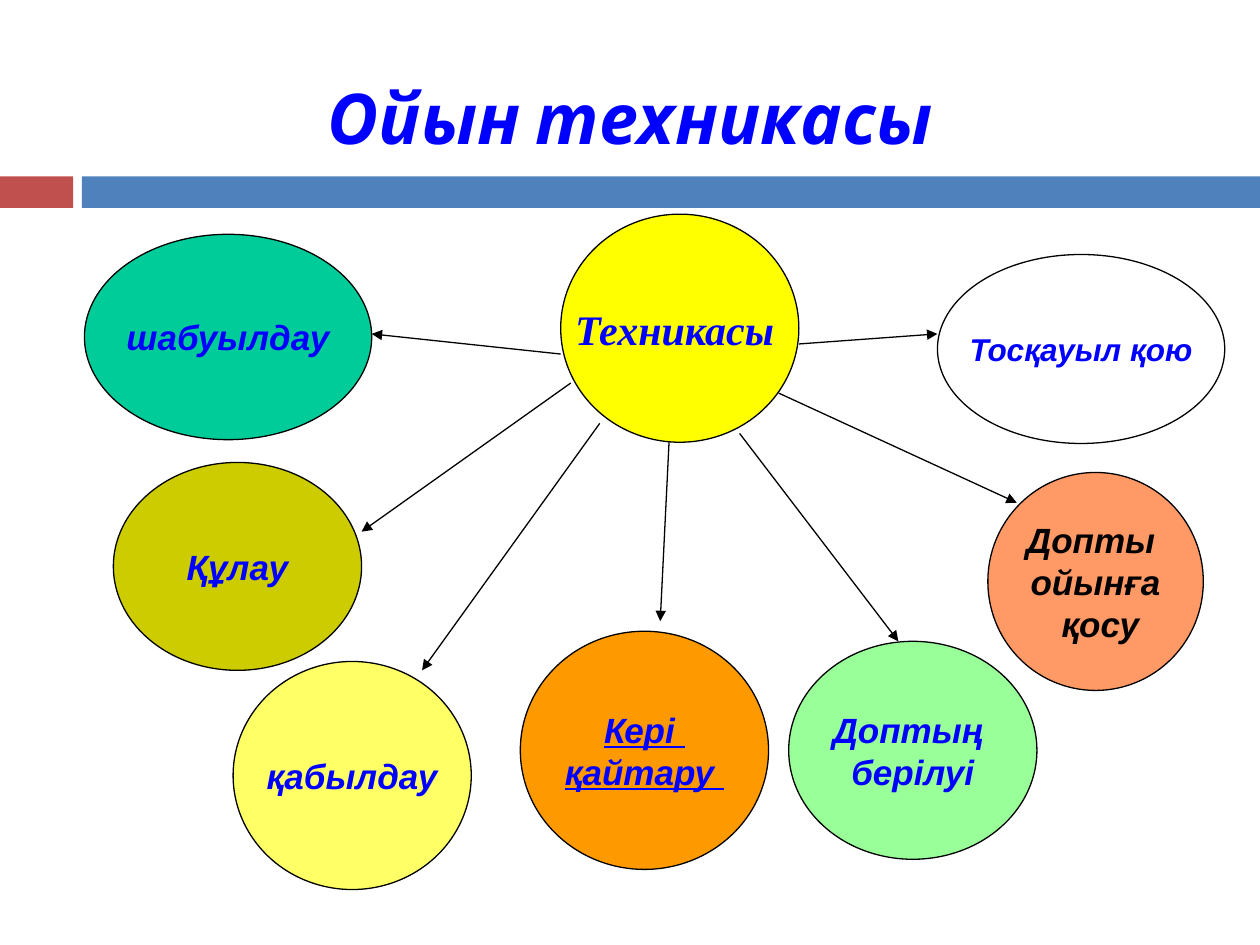
from lxml import etree
from pptx import Presentation
from pptx.dml.color import RGBColor
from pptx.enum.shapes import MSO_CONNECTOR, MSO_SHAPE
from pptx.enum.text import MSO_ANCHOR, PP_ALIGN
from pptx.oxml.ns import qn
from pptx.util import Inches, Pt

OVAL, RECTANGLE = MSO_SHAPE.OVAL, MSO_SHAPE.RECTANGLE
STRAIGHT = MSO_CONNECTOR.STRAIGHT
MIDDLE, CENTER = MSO_ANCHOR.MIDDLE, PP_ALIGN.CENTER
BLUE, BLACK = "0000FF", "000000"


def rgb(value):
    return RGBColor.from_string(value)


def write_text(box, text, size=20, font="Arial", color=BLUE, underline=None, wrap=False):
    frame = box.text_frame
    frame.word_wrap = wrap
    frame.vertical_anchor = MIDDLE
    frame.text = text
    for para in frame.paragraphs:
        para.alignment = CENTER
        for span in para.runs:
            span.font.name = font
            span.font.size = Pt(size)
            span.font.bold = True
            span.font.italic = True
            span.font.underline = underline
            span.font.color.rgb = rgb(color)


deck = Presentation()
deck.slide_width, deck.slide_height = Inches(10), Inches(7.5)
page = deck.slides.add_slide(deck.slide_layouts[5])

for left, width, fill in [(0, 0.58, "C0504D"), (0.65, 9.35, "4F81BD")]:
    band = page.shapes.add_shape(RECTANGLE, Inches(left), Inches(1.4), Inches(width), Inches(0.25))
    band.shadow.inherit = False
    band.fill.solid()
    band.fill.fore_color.rgb = rgb(fill)
    band.line.fill.background()

title = page.shapes.title
title.left, title.top = Inches(0.5), Inches(0.3)
title.width, title.height = Inches(9), Inches(1.25)
write_text(title, "Ойын техникасы", size=40, font="Cabin", wrap=True)

bubbles = [
    ("Техникасы ", 4.45, 1.7, 1.89, 1.81, "FFFF00", {"size": 24, "font": "Times New Roman"}),
    ("қабылдау", 1.85, 5.25, 1.89, 1.81, "FFFF66", {}),
    ("Допты \nойынға\n қосу", 7.84, 3.75, 1.71, 1.73, "FF9966", {"color": BLACK}),
    ("Доптың \nберілуі", 6.26, 5.09, 1.97, 1.73, "99FF99", {}),
    ("Кері \nқайтару ", 4.13, 5.01, 1.97, 1.89, "FF9900", {"underline": True}),
    ("шабуылдау", 0.67, 1.86, 2.28, 1.63, "00CC99", {}),
    ("Тосқауыл қою", 7.44, 2.02, 2.28, 1.5, "FFFFFF", {"size": 18}),
    ("Құлау", 0.9, 3.67, 1.97, 1.65, "CCCC00", {}),
]
for text, left, top, width, height, fill, text_format in bubbles:
    bubble = page.shapes.add_shape(OVAL, Inches(left), Inches(top), Inches(width), Inches(height))
    bubble.shadow.inherit = False
    bubble.fill.solid()
    bubble.fill.fore_color.rgb = rgb(fill)
    bubble.line.color.rgb = rgb(BLACK)
    bubble.line.width = Pt(0.75)
    write_text(bubble, text, **text_format)

arrows = [
    (4.76, 3.36, 3.35, 5.32),
    (5.87, 3.44, 7.13, 5.09),
    (6.18, 3.12, 8.07, 3.99),
    (5.31, 3.51, 5.24, 4.93),
    (4.53, 3.04, 2.87, 4.22),
    (6.34, 2.73, 7.44, 2.65),
    (4.45, 2.81, 2.95, 2.65),
]
for ends in arrows:
    arrow = page.shapes.add_connector(STRAIGHT, *[Inches(value) for value in ends])
    arrow.line.color.rgb = rgb(BLACK)
    arrow.line.width = Pt(0.75)
    properties = arrow.element.spPr
    etree.SubElement(properties.find(qn("a:ln")), qn("a:tailEnd"), type="triangle")
    etree.SubElement(properties, qn("a:effectLst"))

deck.save("out.pptx")
